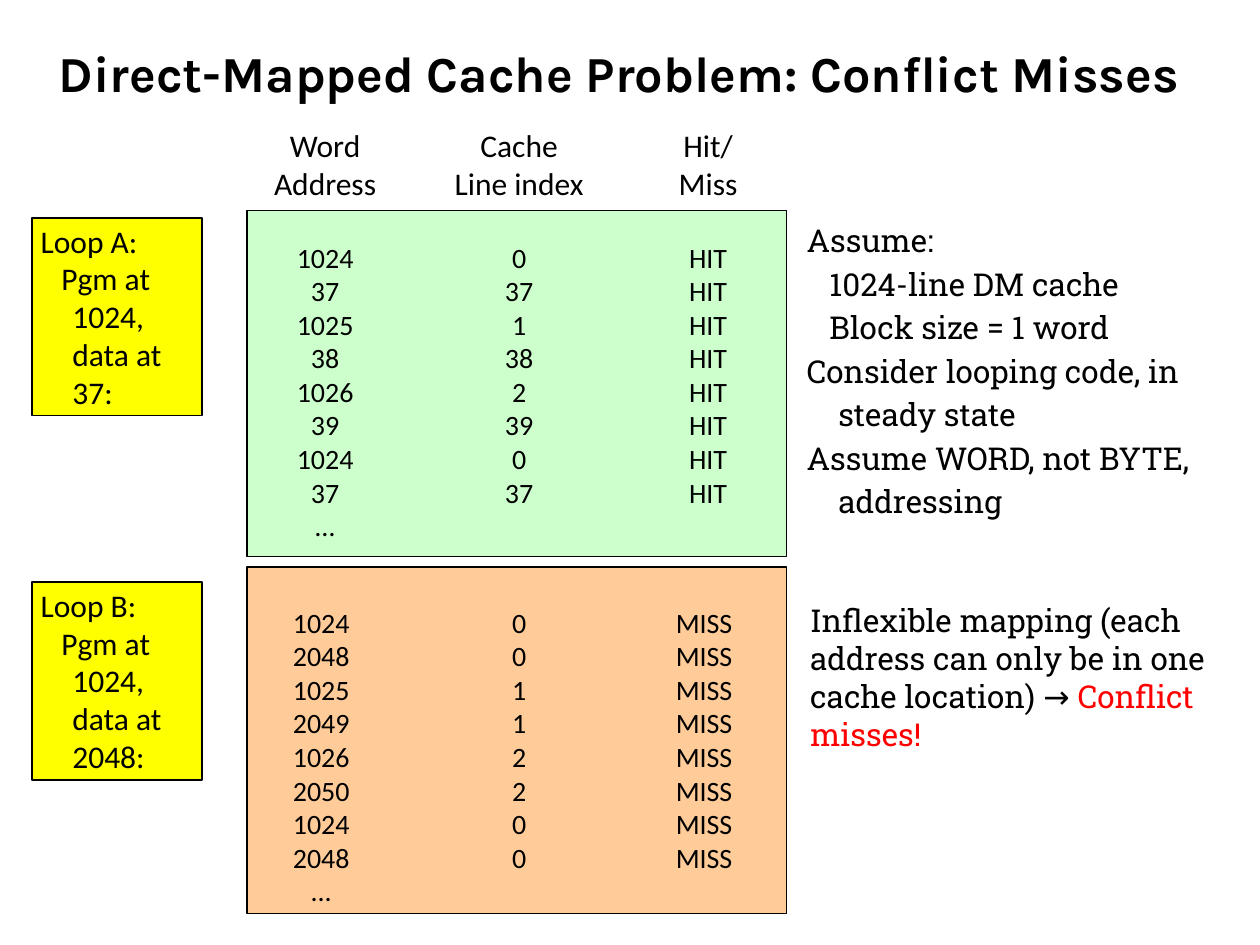
from pptx import Presentation
from pptx import util as u
from pptx.dml import color
from pptx.enum import shapes, text


def rgb(value):
    return color.RGBColor.from_string(value)


class CacheSlide:
    body = "Calibri"
    note = "Roboto Slab"
    heading = "Karla"
    ink = "000000"
    alert = "FF0000"
    hang = 0.64

    def __init__(self, s):
        self.s = s

    def frame(self, sp, inset=(0.18, 0.08)):
        tf = sp.text_frame
        tf.word_wrap = True
        tf.vertical_anchor = text.MSO_ANCHOR.TOP
        tf.margin_left = tf.margin_right = u.Cm(inset[0])
        tf.margin_top = tf.margin_bottom = u.Cm(inset[1])
        return tf

    def textbox(self, x, y, w, h, **options):
        sp = self.s.shapes.add_textbox(u.Cm(x), u.Cm(y), u.Cm(w), u.Cm(h))
        return self.frame(sp, **options)

    def panel(self, x, y, w, h, fill, width=0.75):
        sp = self.s.shapes.add_shape(
            shapes.MSO_SHAPE.RECTANGLE, u.Cm(x), u.Cm(y), u.Cm(w), u.Cm(h))
        sp.shadow.inherit = False
        sp.fill.solid()
        sp.fill.fore_color.rgb = rgb(fill)
        sp.line.color.rgb = rgb(self.ink)
        sp.line.width = u.Pt(width)
        return sp

    def style(self, p, font, size, align=text.PP_ALIGN.LEFT, bold=False):
        p.alignment = align
        for r in p.runs:
            r.font.name = font
            r.font.size = u.Pt(size)
            r.font.bold = bold
            r.font.color.rgb = rgb(self.ink)

    def title(self, words):
        tf = self.textbox(0.2, 0.56, 24.56, 1.78, inset=(0.25, 0.13))
        tf.vertical_anchor = text.MSO_ANCHOR.MIDDLE
        tf.text = words
        self.style(tf.paragraphs[0], self.heading, 28.8, text.PP_ALIGN.CENTER, True)

    def outline(self, tf, lines, font, first=0.46, spacing=1.0):
        tf.text = "\n".join(words for words, level in lines)
        for p, (words, level) in zip(tf.paragraphs, lines):
            start = first if level else 0
            pPr = p._p.get_or_add_pPr()
            pPr.set("marL", str(u.Cm(self.hang)))
            pPr.set("indent", str(u.Cm(start - self.hang)))
            p.line_spacing = spacing
            self.style(p, font, 18)

    def loop(self, y, name, words):
        sp = self.panel(0.64, y, 3.43, 3.99, "FFFF00", 1)
        self.outline(self.frame(sp), [(name, 0), (words, 1)], self.body, 0.42)

    def column(self, x, y, h, values, header=()):
        tf = self.textbox(x, y, 3.15, h)
        tf.text = "\n".join([*header, *values])
        for i, p in enumerate(tf.paragraphs):
            size = 18 if i < len(header) else 16
            self.style(p, self.body, size, text.PP_ALIGN.CENTER)
            if header and i == len(header):
                p.space_before = u.Pt(22)

    def conclusion(self, words, warning):
        tf = self.textbox(16.08, 11.99, 9.09, 3.33, inset=(0.25, 0.13))
        p = tf.paragraphs[0]
        for part in (words, warning):
            p.add_run().text = part
        self.style(p, self.note, 18)
        p.runs[-1].font.color.rgb = rgb(self.alert)


def main():
    prs = Presentation()
    prs.slide_width, prs.slide_height = u.Cm(25.4), u.Cm(19.05)
    s = CacheSlide(prs.slides.add_slide(prs.slide_layouts[6]))

    s.title("Direct-Mapped Cache Problem: Conflict Misses")

    s.panel(4.98, 4.24, 10.87, 6.98, "CCFFCC")
    s.loop(4.39, "Loop A:", "Pgm at 1024, data at 37:")
    s.column(4.98, 2.46, 8.61,
             ["1024", "37", "1025", "38", "1026", "39", "1024", "37", "…"],
             ["Word", "Address"])
    s.column(8.89, 2.46, 8.61,
             ["0", "37", "1", "38", "2", "39", "0", "37"],
             ["Cache", "Line index"])
    s.column(12.7, 2.46, 7.92, ["HIT"] * 8, ["Hit/", "Miss"])

    s.panel(4.98, 11.43, 10.87, 6.98, "FFCC99")
    s.loop(11.73, "Loop B:", "Pgm at 1024, data at 2048:")
    s.column(4.9, 12.12, 6.3,
             ["1024", "2048", "1025", "2049", "1026", "2050", "1024", "2048", "..."])
    s.column(8.89, 12.12, 5.61, ["0", "0", "1", "1", "2", "2", "0", "0"])
    s.column(12.62, 12.12, 5.61, ["MISS"] * 8)

    s.outline(s.textbox(16.08, 4.27, 9.09, 6.32), [
        ("Assume:", 0),
        ("1024-line DM cache", 1),
        ("Block size = 1 word", 1),
        ("Consider looping code, in steady state", 0),
        ("Assume WORD, not BYTE, addressing", 0),
    ], s.note, spacing=1.15)
    s.conclusion("Inflexible mapping (each address can only be in one cache location) → ",
                 "Conflict misses!")

    prs.save("out.pptx")


if __name__ == "__main__":
    main()
